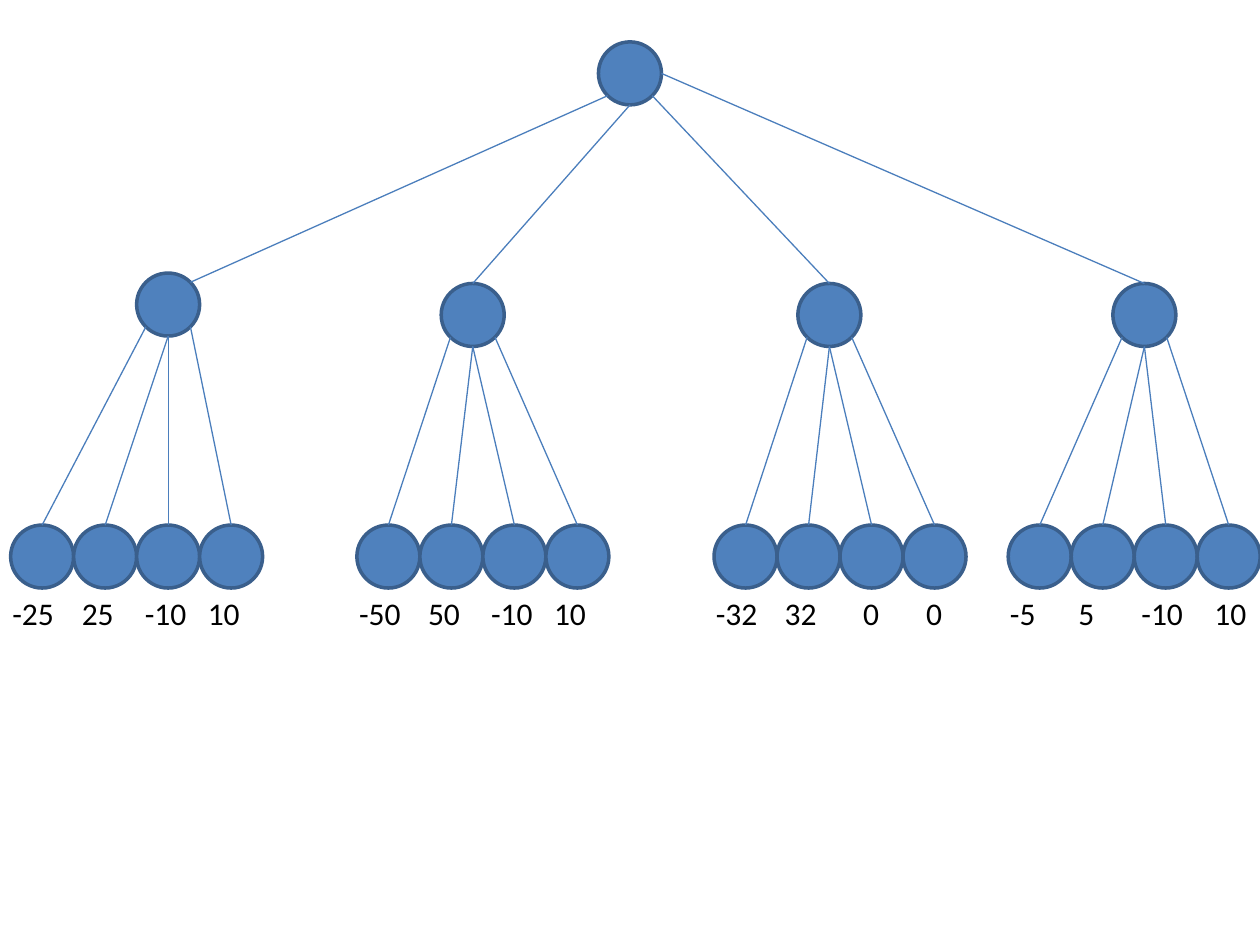
from math import cos, radians, sin

from lxml import etree
from pptx import Presentation
from pptx import util as u
from pptx.dml.color import RGBColor
from pptx.enum import shapes, text
from pptx.oxml.ns import qn

NODE_FILL = RGBColor(0x4F, 0x81, 0xBD)
NODE_LINE = RGBColor(0x3A, 0x5F, 0x8C)
EDGE = RGBColor(0x4B, 0x7E, 0xBC)
BLACK = RGBColor(0, 0, 0)

# Lengths in centimetres; node positions are centres
DIAMETER = 1.27
ROOT = (12.7, 1.48)
LEAF_Y = 11.22
LABEL_TOP = 11.86

# Directions in degrees, clockwise from the right
RIGHT, LOWER_RIGHT, BOTTOM, LOWER_LEFT, TOP, UPPER_RIGHT = 0, 45, 90, 135, 270, 315
LEAF_EXITS = (LOWER_LEFT, BOTTOM, BOTTOM, LOWER_RIGHT)

BRANCHES = [
    {"centre": (3.39, 6.14), "exit": LOWER_LEFT, "entry": UPPER_RIGHT, "first_leaf": 0.85,
     "labels": [("-25", 0), ("25", 1.4), ("-10", 2.67), ("10", 3.94)]},
    {"centre": (9.53, 6.35), "exit": BOTTOM, "entry": TOP, "first_leaf": 7.83,
     "labels": [("-50", 6.99), ("50", 8.38), ("-10", 9.65), ("10", 10.92)]},
    {"centre": (16.72, 6.35), "exit": LOWER_RIGHT, "entry": TOP, "first_leaf": 15.03,
     "labels": [("-32", 14.18), ("32", 15.57), ("0", 17.15), ("0", 18.42)]},
    {"centre": (23.07, 6.35), "exit": RIGHT, "entry": TOP, "first_leaf": 20.96,
     "labels": [("-5", 20.11), ("5", 21.49), ("-10", 22.76), ("10", 24.23)]},
]


def add_node(s, centre):
    """Draw a tree node around its centre."""
    x, y = (c - DIAMETER / 2 for c in centre)
    sp = s.shapes.add_shape(shapes.MSO_SHAPE.OVAL, u.Cm(x), u.Cm(y),
                            u.Cm(DIAMETER), u.Cm(DIAMETER))
    sp.shadow.inherit = False
    sp.fill.solid()
    sp.fill.fore_color.rgb = NODE_FILL
    sp.line.color.rgb = NODE_LINE
    sp.line.width = u.Pt(2)


def rim(centre, angle):
    """Return the point on a node's outline in the given direction."""
    r = DIAMETER / 2
    return (u.Cm(centre[0] + r * cos(radians(angle))),
            u.Cm(centre[1] + r * sin(radians(angle))))


def add_edge(s, parent, leave, child, enter):
    """Join two nodes with a thin line."""
    cx = s.shapes.add_connector(shapes.MSO_CONNECTOR.STRAIGHT,
                                *rim(parent, leave), *rim(child, enter))
    cx.line.color.rgb = EDGE
    cx.line.width = u.Pt(0.75)
    etree.SubElement(cx._element.spPr, qn("a:effectLst"))


def add_label(s, value, left):
    """Write a leaf value in a box that fits its characters."""
    minus = value.count("-")
    width = 0.51 + 0.33 * (len(value) - minus) + 0.2 * minus
    box = s.shapes.add_textbox(u.Cm(left), u.Cm(LABEL_TOP), u.Cm(width), u.Cm(1.03))
    tf = box.text_frame
    tf.word_wrap = False
    tf.auto_size = text.MSO_AUTO_SIZE.SHAPE_TO_FIT_TEXT
    r = tf.paragraphs[0].add_run()
    r.text = value
    for name, setting in {"name": "Calibri", "size": u.Pt(18)}.items():
        setattr(r.font, name, setting)
    r.font.color.rgb = BLACK


def main():
    """Build the game tree slide."""
    prs = Presentation()
    prs.slide_width, prs.slide_height = u.Cm(25.4), u.Cm(19.05)
    s = prs.slides.add_slide(prs.slide_layouts[6])

    nodes, edges = [ROOT], []
    for branch in BRANCHES:
        centre = branch["centre"]
        leaves = [(branch["first_leaf"] + i * DIAMETER, LEAF_Y)
                  for i in range(len(branch["labels"]))]
        nodes += [centre, *leaves]
        edges.append((ROOT, branch["exit"], centre, branch["entry"]))
        edges += [(centre, leave, leaf, TOP) for leave, leaf in zip(LEAF_EXITS, leaves)]

    for node in nodes:
        add_node(s, node)
    for edge in edges:
        add_edge(s, *edge)
    for branch in BRANCHES:
        for value, left in branch["labels"]:
            add_label(s, value, left)
    prs.save("out.pptx")


main()
